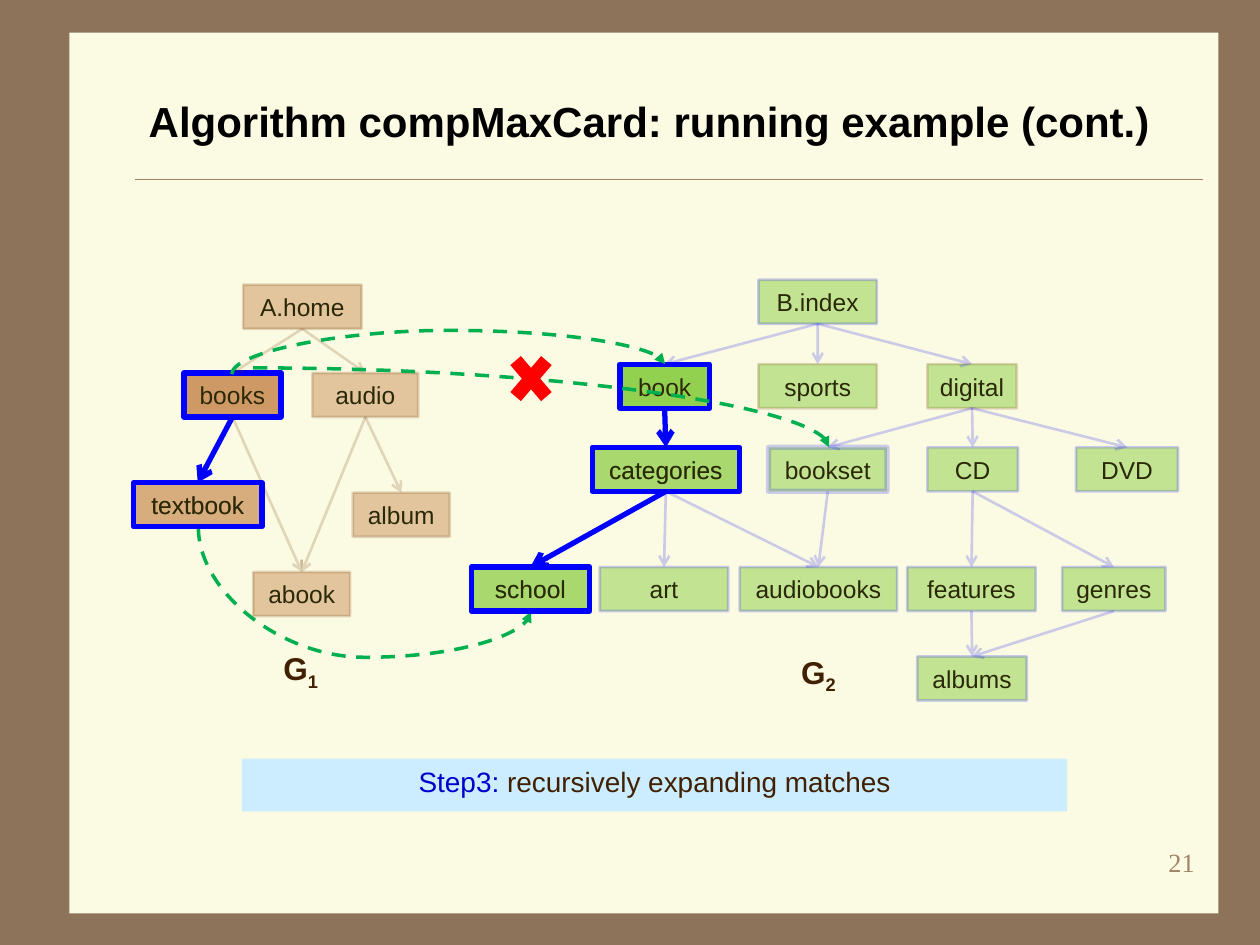
from collections import namedtuple

from lxml.etree import SubElement
from pptx import Presentation
from pptx.dml.color import RGBColor
from pptx.enum.dml import MSO_LINE
from pptx.enum.shapes import MSO_CONNECTOR, MSO_SHAPE
from pptx.enum.text import MSO_ANCHOR, PP_ALIGN
from pptx.oxml.ns import qn
from pptx.util import Inches, Pt

Box = namedtuple("Box", "left top width height")
Graph = namedtuple("Graph", "origin fill edge nodes edges matched label label_at")

BROWN, BLUE, GREEN, INK, LABEL = "6D3600", "0000FF", "00B050", "2A2806", "402000"
NODE_HEIGHT = 0.35
FADED_FILL, FADED_LINE = 54, 18

G1 = Graph(
    (1.06, 2.26), "CE9964", BROWN,
    {"A.home": (0.87, 0, 0.94), "books": (0.4, 0.7, 0.77), "audio": (1.42, 0.7, 0.84),
     "textbook": (0, 1.57, 1.02), "abook": (0.95, 2.28, 0.77), "album": (1.74, 1.65, 0.77)},
    {"A.home": ["books", "audio"], "books": ["textbook", "abook"], "audio": ["album", "abook"]},
    ["books", "textbook"], "1", (1.09, 2.84))

G2 = Graph(
    (3.74, 2.22), "92D050", BLUE,
    {"B.index": (2.28, 0, 0.94),
     "book": (1.18, 0.67, 0.71), "sports": (2.28, 0.67, 0.94), "digital": (3.62, 0.67, 0.71),
     "categories": (0.96, 1.33, 1.17), "bookset": (2.36, 1.33, 0.94),
     "CD": (3.62, 1.33, 0.72), "DVD": (4.8, 1.33, 0.81),
     "school": (0, 2.28, 0.94), "art": (1.02, 2.28, 1.02), "audiobooks": (2.13, 2.28, 1.25),
     "features": (3.46, 2.28, 1.02), "genres": (4.69, 2.28, 0.82),
     "albums": (3.54, 2.99, 0.87)},
    {"B.index": ["book", "sports", "digital"], "book": ["categories"],
     "categories": ["school", "art", "audiobooks"], "bookset": ["audiobooks"],
     "digital": ["bookset", "CD", "DVD"], "CD": ["features", "genres"],
     "features": ["albums"], "genres": ["albums"]},
    ["book", "categories", "school"], "2", (2.52, 2.91))

BROWN_NODES = {"sports", "digital", "categories", "school"}


def paint(target, color, opacity=100):
    target.solid()
    target.fore_color.rgb = RGBColor.from_string(color)
    if opacity < 100:
        rgb = target._xPr.find(qn("a:solidFill"))[0]
        SubElement(rgb, qn("a:alpha"), val=str(opacity * 1000))


def stroke(line, color, width, opacity=100):
    line.width = Pt(width)
    paint(line.fill, color, opacity)


def add_span(para, text, size, color, font="Arial", bold=False):
    span = para.add_run()
    span.text = text
    span.font.name, span.font.size, span.font.bold = font, Pt(size), bold
    span.font.color.rgb = RGBColor.from_string(color)
    return span


def add_block(shapes, box, color, opacity=100, kind=MSO_SHAPE.RECTANGLE):
    block = shapes.add_shape(kind, *map(Inches, box))
    block.shadow.inherit = False
    paint(block.fill, color, opacity)
    block.line.fill.background()
    return block


def add_line(shapes, start, end, color, width, opacity=100, head=None, kind=MSO_CONNECTOR.STRAIGHT):
    line = shapes.add_connector(kind, *map(Inches, (*start, *end)))
    stroke(line.line, color, width, opacity)
    SubElement(line.element.spPr, qn("a:effectLst"))
    if head:
        SubElement(line.line._get_or_add_ln(), qn("a:tailEnd"), type=head)
    return line


def add_node(shapes, box, text, fill, opacity, line):
    node = add_block(shapes, box, fill, opacity)
    stroke(node.line, *line)
    frame = node.text_frame
    frame.word_wrap = False
    frame.vertical_anchor = MSO_ANCHOR.MIDDLE
    frame.paragraphs[0].alignment = PP_ALIGN.CENTER
    add_span(frame.paragraphs[0], text, 14, INK)


def add_text_box(page, box, wrap=True):
    frame = page.shapes.add_textbox(*map(Inches, box)).text_frame
    frame.word_wrap = wrap
    return frame.paragraphs[0]


def node_box(graph, name):
    left, top, width = graph.nodes[name]
    return Box(graph.origin[0] + left, graph.origin[1] + top, width, NODE_HEIGHT)


def edge_ends(graph, parent, child):
    above, below = node_box(graph, parent), node_box(graph, child)
    return ((above.left + above.width / 2, above.top + above.height),
            (below.left + below.width / 2, below.top))


def draw_graph(page, graph):
    for name in graph.nodes:
        line = BROWN if name in BROWN_NODES else graph.edge
        solid = name == graph.matched[0]
        width = 3 if solid or name == "bookset" else 1.5
        style = (BLUE, width) if solid else (line, width, FADED_LINE)
        add_node(page.shapes, node_box(graph, name), name, graph.fill,
                 100 if solid else FADED_FILL, style)
    for parent, children in graph.edges.items():
        for child in children:
            matched = parent in graph.matched and child in graph.matched
            add_line(page.shapes, *edge_ends(graph, parent, child),
                     BROWN if matched else graph.edge, 1.5, FADED_LINE, "arrow")
    left, top = (start + shift for start, shift in zip(graph.origin, graph.label_at))
    para = add_text_box(page, Box(left, top, 0.49, 0.4), wrap=False)
    add_span(para, "G", 18, LABEL, bold=True)
    index = add_span(para, graph.label, 18, LABEL, bold=True)
    index.font._element.set("baseline", "-25000")


def draw_matched_path(page, graph):
    shapes = page.shapes.add_group_shape().shapes
    for name in graph.matched[1:]:
        add_node(shapes, node_box(graph, name), name, graph.fill, FADED_FILL, (BLUE, 3))
    for parent, child in zip(graph.matched, graph.matched[1:]):
        add_line(shapes, *edge_ends(graph, parent, child), BLUE, 3, head="arrow")


def draw_match(page, box, turn=0, flip="", bend=None):
    left, right = box.left, box.left + box.width
    top, bottom = box.top, box.top + box.height
    if "h" in flip:
        left, right = right, left
    if "v" in flip:
        top, bottom = bottom, top
    curve = add_line(page.shapes, (left, top), (right, bottom), GREEN, 2,
                     head="triangle", kind=MSO_CONNECTOR.CURVE)
    curve.line.dash_style = MSO_LINE.DASH
    properties = curve.element.spPr
    properties.find(qn("a:xfrm")).set("rot", str(turn * 60000))
    geometry = properties.find(qn("a:prstGeom"))
    if bend is None:
        geometry.set("prst", "curvedConnector2")
    else:
        SubElement(geometry.find(qn("a:avLst")), qn("a:gd"), name="adj1",
                   fmla=f"val {round(bend * 100000)}")


def draw_frame(page, box):
    page.background.fill.solid()
    page.background.fill.fore_color.rgb = RGBColor.from_string("8C735A")
    panel = add_block(page.shapes, box, "FBFAE2")
    rule = add_line(page.shapes, (box.left + 0.52, box.top + 1.16),
                    (box.left + 9, box.top + 1.16), "A08366", 0.25)
    title = page.shapes.title
    for backdrop in (panel, rule):
        title.element.addprevious(backdrop.element)
    title.left, title.top, title.width, title.height = map(
        Inches, (box.left + 0.53, box.top + 0.24, 8.5, 0.91))
    title.text_frame.vertical_anchor = MSO_ANCHOR.MIDDLE
    para = title.text_frame.paragraphs[0]
    para.alignment = PP_ALIGN.LEFT
    add_span(para, "Algorithm compMaxCard: running example (cont.)", 24, "000000", bold=True)
    number = add_text_box(page, Box(box.left + 6.95, box.top + 6.41, 2.08, 0.5))
    number.alignment = PP_ALIGN.RIGHT
    add_span(number, "21", 15, "A08366", "Times New Roman")


def draw_step(page, box):
    frame = add_block(page.shapes, box, "CCECFF").text_frame
    frame.vertical_anchor = MSO_ANCHOR.TOP
    para = frame.paragraphs[0]
    para.alignment = PP_ALIGN.CENTER
    add_span(para, "Step3:", 16, "0000CC")
    add_span(para, " recursively expanding matches", 16, LABEL)


def main():
    deck = Presentation()
    deck.slide_width, deck.slide_height = Inches(10), Inches(7.5)
    page = deck.slides.add_slide(deck.slide_layouts[5])
    draw_frame(page, Box(0.55, 0.26, 9.12, 6.99))
    for graph in (G1, G2):
        draw_graph(page, graph)
    draw_step(page, Box(1.92, 6.02, 6.55, 0.42))
    draw_match(page, Box(3.52, 1.21, 0.08, 3.44), 90, "hv", 4.35)
    draw_match(page, Box(2.01, 2.92, 4.57, 0.63))
    draw_match(page, Box(2.56, 3.2, 0.67, 2.64), 270, "h", 1.54)
    add_block(page.shapes, Box(3.98, 2.73, 0.47, 0.55), "FF0000", kind=MSO_SHAPE.MATH_MULTIPLY)
    for graph in (G1, G2):
        draw_matched_path(page, graph)
    deck.save("out.pptx")


if __name__ == "__main__":
    main()
